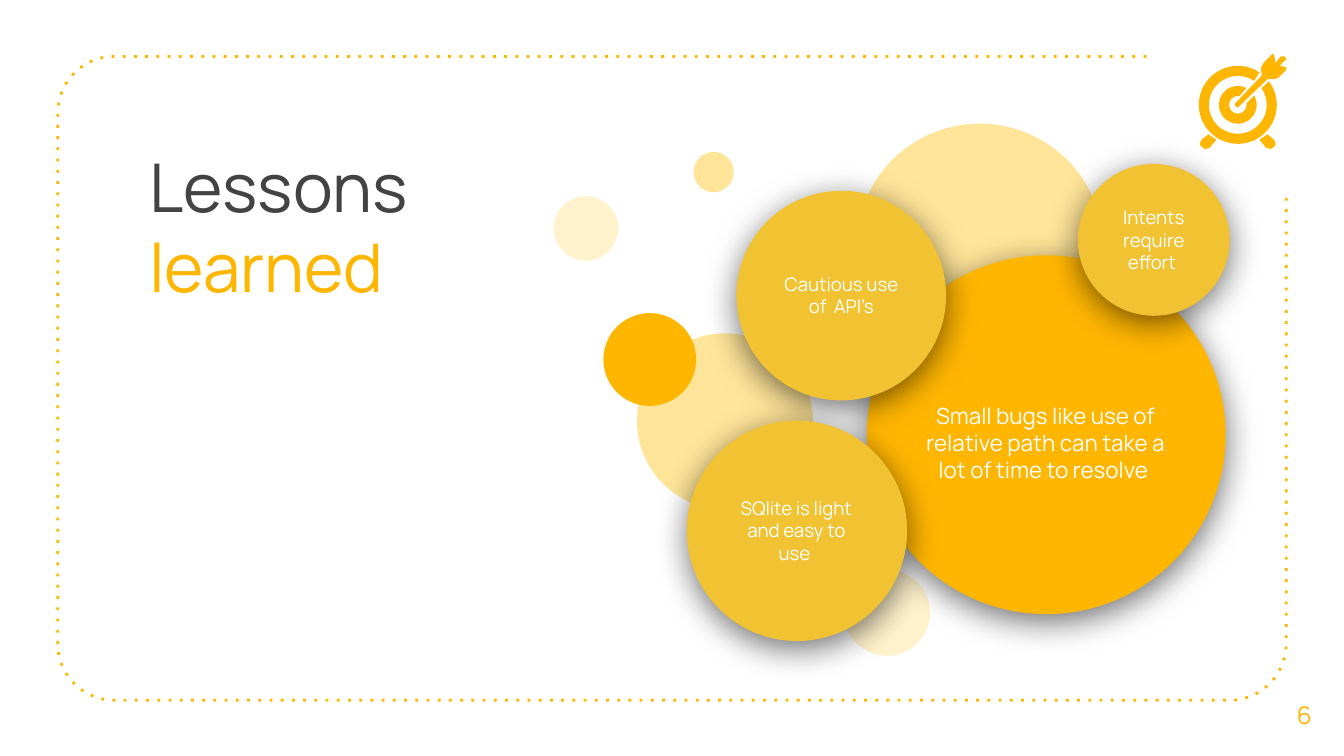
"""Builds the "Lessons learned" slide with bubbles and a target icon."""
from dataclasses import dataclass
from math import cos, radians, sin
from typing import Optional

from lxml import etree
from pptx import Presentation
from pptx import util as u
from pptx.dml.color import RGBColor
from pptx.enum import shapes, text
from pptx.oxml import ns

FONT = "Manrope"
AMBER = RGBColor(0xFF, 0xB6, 0x00)
GOLD = RGBColor(0xF1, 0xC2, 0x32)
SAND = RGBColor(0xFF, 0xE5, 0x99)
CREAM = RGBColor(0xFF, 0xF2, 0xCC)
GREY = RGBColor(0x43, 0x43, 0x43)
WHITE = RGBColor(0xFF, 0xFF, 0xFF)

Point = tuple[float, float]
Box = tuple[float, float, float, float]


@dataclass
class Disc:
    left: float
    top: float
    size: float
    fill: RGBColor
    turn: float = 250


@dataclass
class Bubble:
    disc: Disc
    label: str
    box: Box
    size: float = 10


DISCS = [
    Disc(6.28, 4.24, 0.64, CREAM),
    Disc(4.12, 1.46, 0.48, CREAM),
    Disc(4.74, 2.48, 1.31, SAND),
    Disc(6.37, 0.92, 1.84, SAND),
    Disc(4.49, 2.33, 0.69, AMBER),
    Disc(5.16, 1.13, 0.3, SAND),
]
BUBBLES = [
    Bubble(Disc(6.45, 1.9, 2.67, AMBER, 0),
           "Small bugs like use of relative path can take a lot of time to resolve ",
           (6.76, 2.66, 2.04, 1.27), 12),
    Bubble(Disc(5.48, 1.42, 1.56, GOLD, 0), "Cautious use of  API’s",
           (5.73, 1.68, 1.06, 1.03)),
    Bubble(Disc(5.11, 3.13, 1.64, GOLD, 0), "SQlite is light and easy to use ",
           (5.34, 3.43, 1.17, 1.03)),
    Bubble(Disc(8.02, 1.22, 1.13, GOLD, 0), "Intents require effort ",
           (8.2, 1.41, 0.77, 0.75)),
]
HUB = (9.21, 0.78)
FOOT = [(8.99, 1), (8.94, 1.04), (8.93, 1.06), (8.93, 1.08), (8.95, 1.1),
        (8.97, 1.11), (8.99, 1.1), (9, 1.1), (9.05, 1.04)]
DART = [(9.47, 0.4), (9.4, 0.47), (9.38, 0.51), (9.39, 0.56), (9.19, 0.77),
        (9.19, 0.79), (9.21, 0.8), (9.43, 0.59), (9.48, 0.59), (9.51, 0.58),
        (9.57, 0.52), (9.57, 0.5), (9.52, 0.49), (9.57, 0.44), (9.56, 0.42),
        (9.53, 0.42), (9.49, 0.47), (9.48, 0.41)]


def arc(hub: Point, size: float, start: float, end: float) -> list[Point]:
    """Return points on a circle, with angles counted anticlockwise."""
    steps = max(8, round(abs(end - start) / 6))
    turns = [radians(start + (end - start) * i / steps) for i in range(steps + 1)]
    return [(hub[0] + size * cos(a), hub[1] - size * sin(a)) for a in turns]


def write(shape, runs: list[tuple[str, RGBColor]], *, box: Box, size: float,
          align=text.PP_ALIGN.CENTER, anchor=text.MSO_ANCHOR.MIDDLE) -> None:
    """Place a text shape and fill it with coloured runs."""
    shape.left, shape.top, shape.width, shape.height = map(u.Inches, box)
    frame = shape.text_frame
    frame.word_wrap = True
    frame.auto_size = text.MSO_AUTO_SIZE.NONE
    frame.vertical_anchor = anchor
    frame.margin_left = frame.margin_right = u.Inches(0.1)
    frame.margin_top = frame.margin_bottom = u.Inches(0.1)
    para = frame.paragraphs[0]
    para.alignment = align
    for words, color in runs:
        run = para.add_run()
        run.text = words
        run.font.name, run.font.size = FONT, u.Pt(size)
        run.font.color.rgb = color


def label(slide, words: str, color: RGBColor, box: Box, size: float) -> None:
    """Add a centred text box."""
    write(slide.shapes.add_textbox(0, 0, 0, 0), [(words, color)], box=box, size=size)


def paint(shape, fill: Optional[RGBColor]) -> None:
    """Give a shape a plain fill with neither line nor shadow."""
    shape.shadow.inherit = False
    shape.line.fill.background()
    if fill is None:
        shape.fill.background()
    else:
        shape.fill.solid()
        shape.fill.fore_color.rgb = fill


def draw(slide, points: list[Point], fill: Optional[RGBColor] = AMBER):
    """Add an outline, closed when it has a fill."""
    spots = [(u.Inches(x), u.Inches(y)) for x, y in points]
    form = slide.shapes.build_freeform(*spots[0], scale=1.0)
    form.add_line_segments(spots[1:], close=fill is not None)
    shape = form.convert_to_shape()
    paint(shape, fill)
    return shape


def circle(slide, disc: Disc):
    """Add one disc."""
    shape = slide.shapes.add_shape(
        shapes.MSO_SHAPE.OVAL, *map(u.Inches, (disc.left, disc.top, disc.size, disc.size)))
    shape.rotation = disc.turn
    paint(shape, disc.fill)
    return shape


def shade(shape) -> None:
    """Add a soft shadow below a shape."""
    effect = shape._element.spPr.find(ns.qn("a:effectLst"))
    outer = etree.SubElement(effect, ns.qn("a:outerShdw"), blurRad=str(u.Pt(18)),
                             dist=str(u.Pt(4)), dir="5400000", algn="bl", rotWithShape="0")
    color = etree.SubElement(outer, ns.qn("a:srgbClr"), val="000000")
    etree.SubElement(color, ns.qn("a:alpha"), val="55000")


def border(slide) -> None:
    """Draw the dotted frame, open at its top right corner."""
    left, right, top, foot, bend = 0.43, 9.57, 0.42, 5.21, 0.42
    points = [(8.53, top)]
    points += arc((left + bend, top + bend), bend, 90, 180)
    points += arc((left + bend, foot - bend), bend, 180, 270)
    points += arc((right - bend, foot - bend), bend, 270, 360)
    line = draw(slide, points + [(right, 1.46)], None)
    line.line.color.rgb = AMBER
    line.line.width = u.Pt(1.5)
    edge = line._element.spPr.find(ns.qn("a:ln"))
    etree.SubElement(edge, ns.qn("a:prstDash"), val="dot")


def target(slide) -> None:
    """Draw the target with its rings, feet and dart."""
    draw(slide, arc(HUB, 0.29, 56, 397) + arc(HUB, 0.215, 395, 56))
    draw(slide, arc(HUB, 0.14, 63, 390) + arc(HUB, 0.065, 369, 80))
    draw(slide, FOOT)
    draw(slide, [(2 * HUB[0] - x, y) for x, y in FOOT])
    draw(slide, DART)


def main() -> None:
    """Build and save the slide."""
    deck = Presentation()
    deck.slide_width, deck.slide_height = u.Inches(10), u.Inches(10 * 9 / 16)
    slide = deck.slides.add_slide(deck.slide_layouts[5])
    border(slide)
    write(slide.shapes.title, [("Lessons", GREY), (" learned", AMBER)],
          box=(1.01, 0.98, 2.97, 0.94), size=36,
          align=text.PP_ALIGN.LEFT, anchor=text.MSO_ANCHOR.TOP)
    label(slide, "6", AMBER, (9.41, 5.02, 0.59, 0.6), 13)
    for disc in DISCS:
        circle(slide, disc)
    for bubble in BUBBLES:
        shade(circle(slide, bubble.disc))
        label(slide, bubble.label, WHITE, bubble.box, bubble.size)
    target(slide)
    deck.save("out.pptx")


main()
